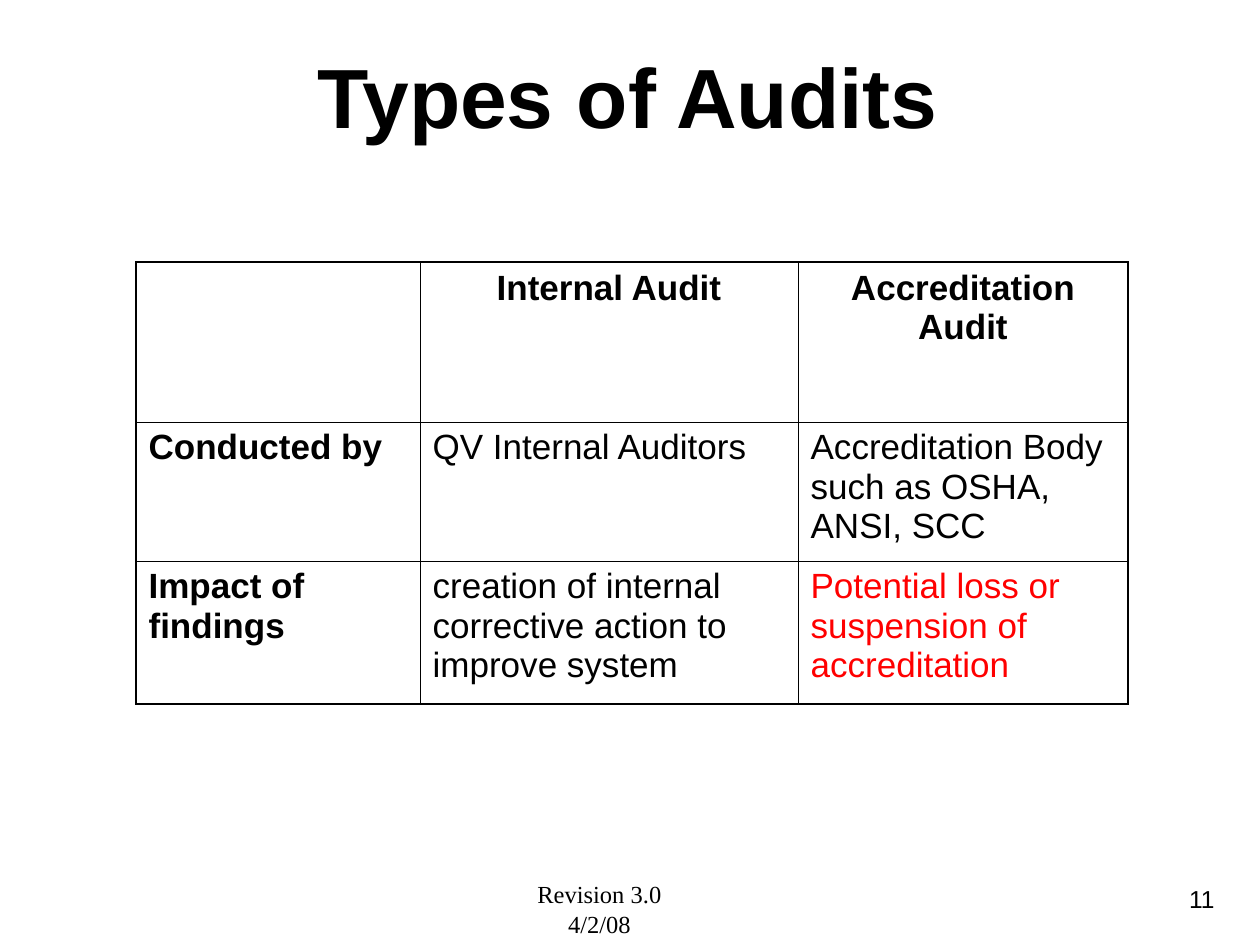
"""Build the slide that compares internal and accreditation audits."""
from lxml.etree import SubElement
from pptx import Presentation
from pptx.dml.color import RGBColor
from pptx.enum.text import MSO_ANCHOR as Anchor, PP_ALIGN as Align
from pptx.oxml.ns import qn
from pptx.util import Emu, Pt

COLORS = {"ink": "000000", "alert": "FF0000", "paper": "FFFFFF"}
OUTER, INNER = 1.08, 0.45


def px(length):
    return Emu(round(length * 914400 / 126))


def write(frame, text, size=20, font="Arial", color="ink", bold=False,
          align=Align.LEFT):
    frame.text = text
    for paragraph in frame.paragraphs:
        paragraph.alignment = align
        paragraph.font.size = Pt(size)
        paragraph.font.name = font
        paragraph.font.bold = bold
        paragraph.font.color.rgb = RGBColor.from_string(COLORS[color])


class AuditSlide:
    def __init__(self, deck):
        self.slide = deck.slides.add_slide(deck.slide_layouts[6])
        self.paper = RGBColor.from_string(COLORS["paper"])
        background = self.slide.background.fill
        background.solid()
        background.fore_color.rgb = self.paper

    def label(self, text, box, anchor=Anchor.TOP, wrap=True, **style):
        frame = self.slide.shapes.add_textbox(*map(px, box)).text_frame
        frame.word_wrap = wrap
        frame.vertical_anchor = anchor
        write(frame, text, **style)

    def borders(self, cell, widths):
        properties = cell._tc.get_or_add_tcPr()
        for place, (side, width) in enumerate(widths.items()):
            line = SubElement(properties, qn(f"a:ln{side}"), w=str(Pt(width)))
            fill = SubElement(line, qn("a:solidFill"))
            SubElement(fill, qn("a:srgbClr"), val=COLORS["ink"])
            properties.insert(place, line)

    def table(self, rows, left, top, widths, heights):
        box = (left, top, sum(widths), sum(heights))
        grid = self.slide.shapes.add_table(
            len(rows), len(widths), *map(px, box)).table
        grid.first_row = grid.horz_banding = False
        for column, width in zip(grid.columns, widths):
            column.width = px(width)
        for row, height in zip(grid.rows, heights):
            row.height = px(height)
        last_row, last_column = len(rows) - 1, len(widths) - 1
        for r, texts in enumerate(rows):
            for c, text in enumerate(texts):
                cell = grid.cell(r, c)
                cell.fill.solid()
                cell.fill.fore_color.rgb = self.paper
                self.borders(cell, {
                    "L": OUTER if c == 0 else INNER,
                    "R": OUTER if c == last_column else INNER,
                    "T": OUTER if r == 0 else INNER,
                    "B": OUTER if r == last_row else INNER,
                })
                is_risk = (r, c) == (last_row, last_column)
                write(cell.text_frame, text, bold=r == 0 or c == 0,
                      color="alert" if is_risk else "ink",
                      align=Align.CENTER if r == 0 else Align.LEFT)


def main():
    deck = Presentation()
    deck.slide_width, deck.slide_height = px(1260), px(945)
    audits = AuditSlide(deck)
    audits.label("Revision 3.0\n4/2/08", (525, 873, 149, 72), wrap=False,
                 size=14, font="Times New Roman", align=Align.CENTER)
    audits.label("Types of Audits", (305, 0, 746, 189), anchor=Anchor.MIDDLE,
                 size=48, bold=True)
    audits.table([
        ("", "Internal Audit", "Accreditation Audit"),
        ("Conducted by", "QV Internal Auditors",
         "Accreditation Body such as OSHA, ANSI, SCC"),
        ("Impact of findings",
         "creation of internal corrective action to improve system",
         "Potential loss or suspension of accreditation"),
    ], left=136, top=262, widths=(284, 378, 330), heights=(160, 139, 143))
    audits.label("11", (1173, 878, 54, 45), size=14, align=Align.RIGHT)
    deck.save("out.pptx")


if __name__ == "__main__":
    main()
